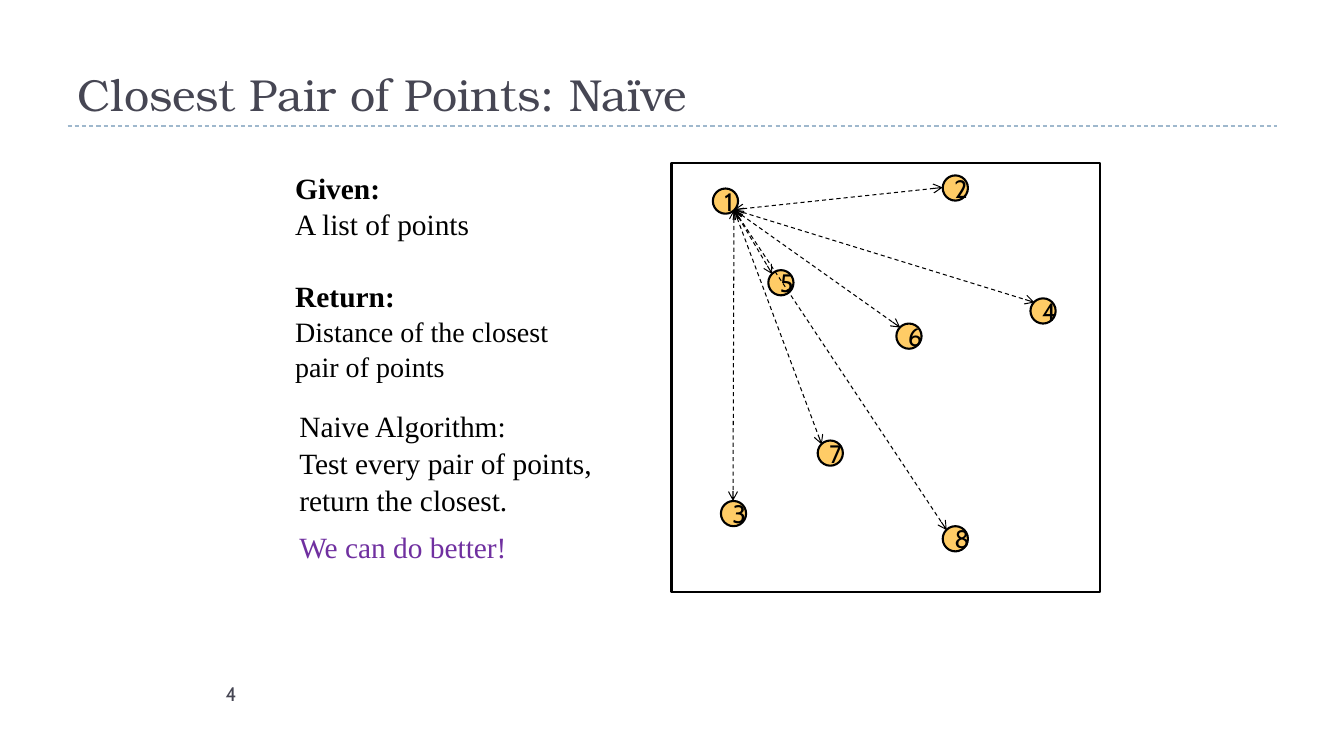
import pptx
import pptx.util
import pptx.dml.color
import pptx.enum.dml
import pptx.enum.shapes
import pptx.enum.text
from dataclasses import dataclass
from lxml import etree

PX = 9144  # one px is a hundredth of an inch
ALIGN = pptx.enum.text.PP_ALIGN
ANCHOR = pptx.enum.text.MSO_ANCHOR
SHAPE = pptx.enum.shapes.MSO_SHAPE


@dataclass(frozen=True)
class Theme:
    ink: str = "000000"
    slate: str = "464653"
    rule: str = "9FB8CD"
    dot: str = "FFCC66"
    accent: str = "7030A0"
    serif: str = "Times New Roman"
    sans: str = "Cabin"
    display: str = "TeX Gyre Bonum"
    title: int = 32
    body: int = 21
    small: int = 20
    label: int = 18
    page: int = 14
    thin: float = 0.75
    bold: float = 1.5


THEME = Theme()


def rgb(code):
    return pptx.dml.color.RGBColor.from_string(code)


def emu(*sizes):
    return [size * PX for size in sizes]


def style(para, size, face, color, bold=False):
    font = para.font
    font.size = pptx.util.Pt(size)
    font.name = face
    font.color.rgb = rgb(color)
    font.bold = bold


def text(slide, box, lines, wrap=True):
    """Each line is (words, size, face, color, bold, space before)."""
    frame = slide.shapes.add_textbox(*emu(*box)).text_frame
    frame.word_wrap = wrap
    for i, (words, size, face, color, bold, gap) in enumerate(lines):
        para = frame.add_paragraph() if i else frame.paragraphs[0]
        para.text = words
        para.line_spacing = 1.04
        if gap:
            para.space_before = pptx.util.Pt(gap)
        style(para, size, face, color, bold)


def dash(slide, start, end, color, arrows=False):
    line = slide.shapes.add_connector(
        pptx.enum.shapes.MSO_CONNECTOR.STRAIGHT, *emu(*start, *end))
    line.line.color.rgb = rgb(color)
    line.line.width = pptx.util.Pt(THEME.thin)
    line.line.dash_style = pptx.enum.dml.MSO_LINE.DASH
    props = line.element.spPr
    space = "{" + props.nsmap["a"] + "}"
    if arrows:
        stroke = props.find(space + "ln")
        for tip in ("headEnd", "tailEnd"):
            etree.SubElement(stroke, space + tip, type="arrow")
    etree.SubElement(props, space + "effectLst")


def outline(slide, kind, box, fill=None):
    shape = slide.shapes.add_shape(kind, *emu(*box))
    shape.shadow.inherit = False
    if fill:
        shape.fill.solid()
        shape.fill.fore_color.rgb = rgb(fill)
    else:
        shape.fill.background()
    shape.line.color.rgb = rgb(THEME.ink)
    shape.line.width = pptx.util.Pt(THEME.bold)
    return shape


def header(slide, box):
    left, top, width, height = box
    base = top + height
    dash(slide, (left, base), (left + width, base), THEME.rule)
    title = slide.shapes.title
    title.left, title.top, title.width, title.height = emu(*box)
    frame = title.text_frame
    frame.text = "Closest Pair of Points: Naïve"
    frame.auto_size = pptx.enum.text.MSO_AUTO_SIZE.NONE
    frame.vertical_anchor = ANCHOR.BOTTOM
    para = frame.paragraphs[0]
    para.alignment = ALIGN.LEFT
    style(para, THEME.title, THEME.display, THEME.slate)


def problem(slide, box):
    left, top, width, height = box
    body = (THEME.body, THEME.serif, THEME.ink)
    small = (THEME.small, THEME.serif, THEME.ink)
    text(slide, (left, top, width, 219), [
        ("Given:", *body, True, 0),
        ("A list of points", *body, False, 0),
        ("Return:", *body, True, 25),
        ("Distance of the closest pair of points", *small, False, 0),
    ])
    text(slide, (left + 4, top + 237, width - 4, 116), [
        ("Naive Algorithm:", *body, False, 0),
        ("Test every pair of points, return the closest.", *body, False, 0),
    ])
    text(slide, (left + 4, top + height - 45, 229, 45), [
        ("We can do better!", THEME.body, THEME.serif, THEME.accent, False, 0),
    ], wrap=False)


def plot(slide, box):
    left, top = box[:2]
    outline(slide, SHAPE.RECTANGLE, box)
    size = 25
    # Where an arrow meets a dot, from the dot's top left
    west, north, corner, far = (0, 12), (12, 0), (4, 4), (21, 21)
    # Dots as offsets in the frame, with the side their arrow meets
    dots = [(41, 25, far), (269, 12, west), (49, 335, north),
            (356, 134, corner), (96, 106, corner), (223, 159, corner),
            (145, 275, corner), (269, 360, corner)]
    ends = []
    for number, (x, y, side) in enumerate(dots, 1):
        spot = (left + x, top + y)
        dot = outline(slide, SHAPE.OVAL, (*spot, size, size), THEME.dot)
        dot.text_frame.text = str(number)
        dot.text_frame.vertical_anchor = ANCHOR.MIDDLE
        para = dot.text_frame.paragraphs[0]
        para.alignment = ALIGN.CENTER
        style(para, THEME.label, THEME.sans, THEME.ink)
        ends.append((spot[0] + side[0], spot[1] + side[1]))
    # Compare the first dot with every other
    for end in ends[1:]:
        dash(slide, ends[0], end, THEME.ink, arrows=True)


def footer(slide, box):
    text(slide, box, [("4", THEME.page, THEME.sans, THEME.slate, False, 0)])


def main():
    deck = pptx.Presentation()
    deck.slide_width, deck.slide_height = emu(1333, 750)
    slide = deck.slides.add_slide(deck.slide_layouts[5])
    header(slide, (67, 17, 1200, 108))
    problem(slide, (283, 162, 316, 402))
    plot(slide, (666, 162, 425, 425))
    footer(slide, (214, 671, 175, 30))
    deck.save("out.pptx")


if __name__ == "__main__":
    main()
